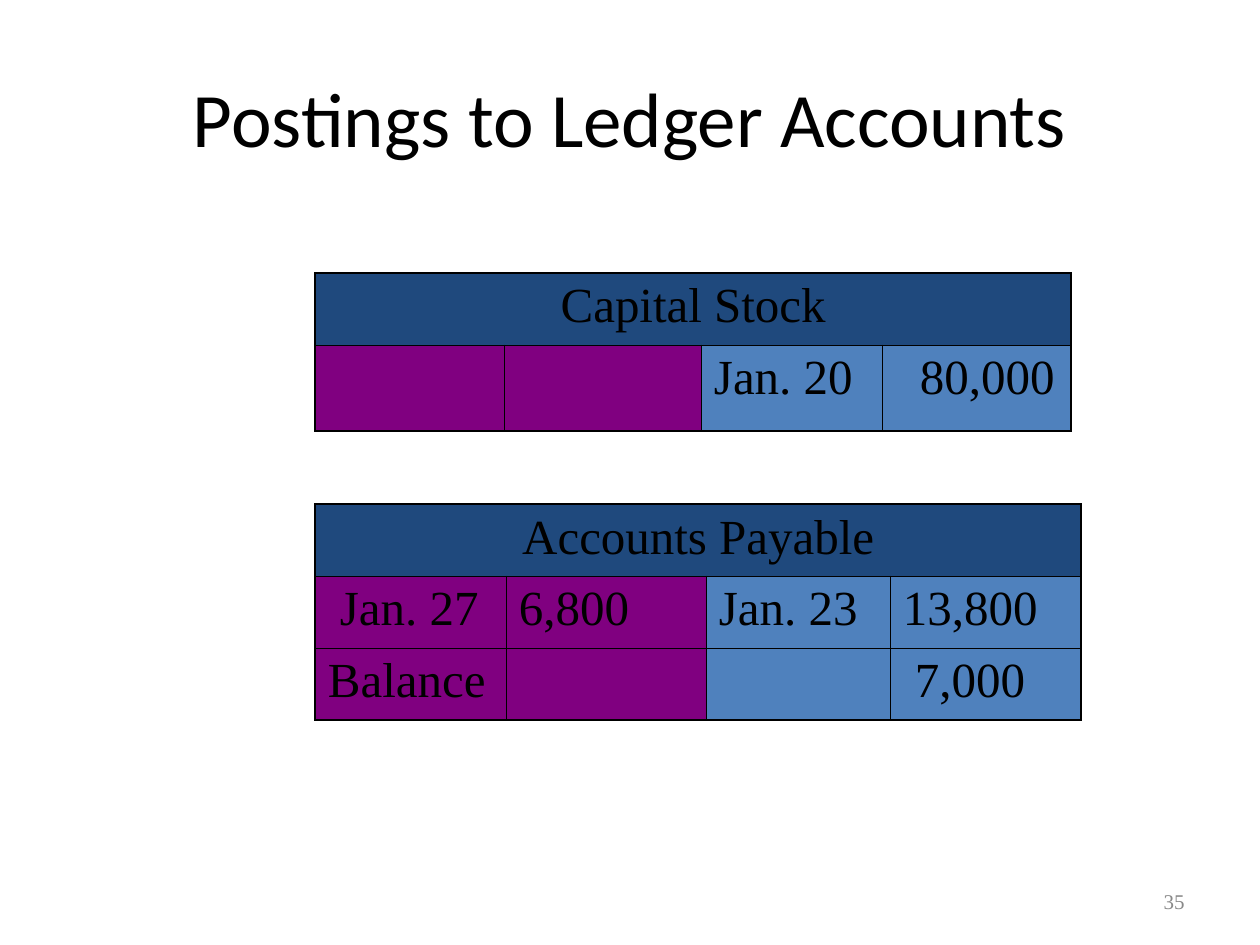
from lxml import etree
from pptx import Presentation
from pptx import util as u
from pptx.dml.color import RGBColor
from pptx.enum import text
from pptx.oxml.ns import qn

TITLE = "Postings to Ledger Accounts"
PAGE = "35"
LEDGERS = [
    {"name": "Accounts Payable", "top": 504,
     "cols": [191, 200, 184, 191], "rows": [72, 72, 72],
     "entries": [["Jan. 27", "6,800", "Jan. 23", "13,800"],
                 ["Balance", "", "", "7,000"]],
     "indents": {(1, 0): 12, (2, 3): 12}},
    {"name": "Capital Stock", "top": 273,
     "cols": [189, 197, 181, 189], "rows": [72, 86],
     "entries": [["", "", "Jan. 20", "80,000"]],
     "indents": {(1, 3): 25}},
]
LEDGER_LEFT = 315
CELL_MARGIN = 13
HEADER, DEBIT, CREDIT = "1F497D", "800080", "4F81BD"
BLACK, GREY = "000000", "898989"
SERIF = "Times New Roman"
THIN, THICK = 0.45, 1.08


def px(n):
    return u.Emu(round(n * 914400 / 126))


def color(hex_value):
    return RGBColor.from_string(hex_value)


def write(frame, words, size, font, hex_value, align):
    frame.text = words
    paragraph = frame.paragraphs[0]
    paragraph.alignment = align
    for run in paragraph.runs:
        run.font.size = u.Pt(size)
        run.font.name = font
        run.font.color.rgb = color(hex_value)


def border(cell, side, points):
    line = etree.SubElement(cell._tc.get_or_add_tcPr(), qn("a:ln" + side),
                            w=str(u.Pt(points)))
    fill = etree.SubElement(line, qn("a:solidFill"))
    etree.SubElement(fill, qn("a:srgbClr"), val=BLACK)


def add_ledger(slide, ledger):
    cols, rows = ledger["cols"], ledger["rows"]
    last_row, last_col = len(rows) - 1, len(cols) - 1
    table = slide.shapes.add_table(
        len(rows), len(cols), px(LEDGER_LEFT), px(ledger["top"]),
        px(sum(cols)), px(sum(rows))).table
    table.first_row = table.horz_banding = False
    for column, width in zip(table.columns, cols):
        column.width = px(width)
    for row, height in zip(table.rows, rows):
        row.height = px(height)
    table.cell(0, 0).merge(table.cell(0, last_col))

    grid = [[ledger["name"], "", "", ""]] + ledger["entries"]
    for r, entries in enumerate(grid):
        for c, entry in enumerate(entries):
            cell, header = table.cell(r, c), r == 0
            # Thick outer frame, thin inner lines
            outer = {"L": header or c == 0, "R": header or c == last_col,
                     "T": header, "B": r == last_row}
            for side, is_outer in outer.items():
                border(cell, side, THICK if is_outer else THIN)
            cell.fill.solid()
            cell.fill.fore_color.rgb = color(
                HEADER if header else DEBIT if c < 2 else CREDIT)
            cell.margin_left = px(CELL_MARGIN + ledger["indents"].get((r, c), 0))
            if entry:
                write(cell.text_frame, entry, 28, SERIF, BLACK,
                      text.PP_ALIGN.CENTER if header else text.PP_ALIGN.LEFT)


prs = Presentation()
prs.slide_width, prs.slide_height = px(1260), px(945)
slide = prs.slides.add_slide(prs.slide_layouts[5])

# Title
title = slide.shapes.title
title.left, title.top, title.width, title.height = map(px, (63, 38, 1134, 157))
title.text_frame.vertical_anchor = text.MSO_ANCHOR.MIDDLE
write(title.text_frame, TITLE, 44, "Calibri", BLACK, text.PP_ALIGN.CENTER)

# Ledger accounts
for ledger in LEDGERS:
    add_ledger(slide, ledger)

# Page number
page = slide.shapes.add_textbox(*map(px, (903, 876, 294, 50))).text_frame
page.word_wrap = True
page.vertical_anchor = text.MSO_ANCHOR.MIDDLE
write(page, PAGE, 12, SERIF, GREY, text.PP_ALIGN.RIGHT)

prs.save("out.pptx")
